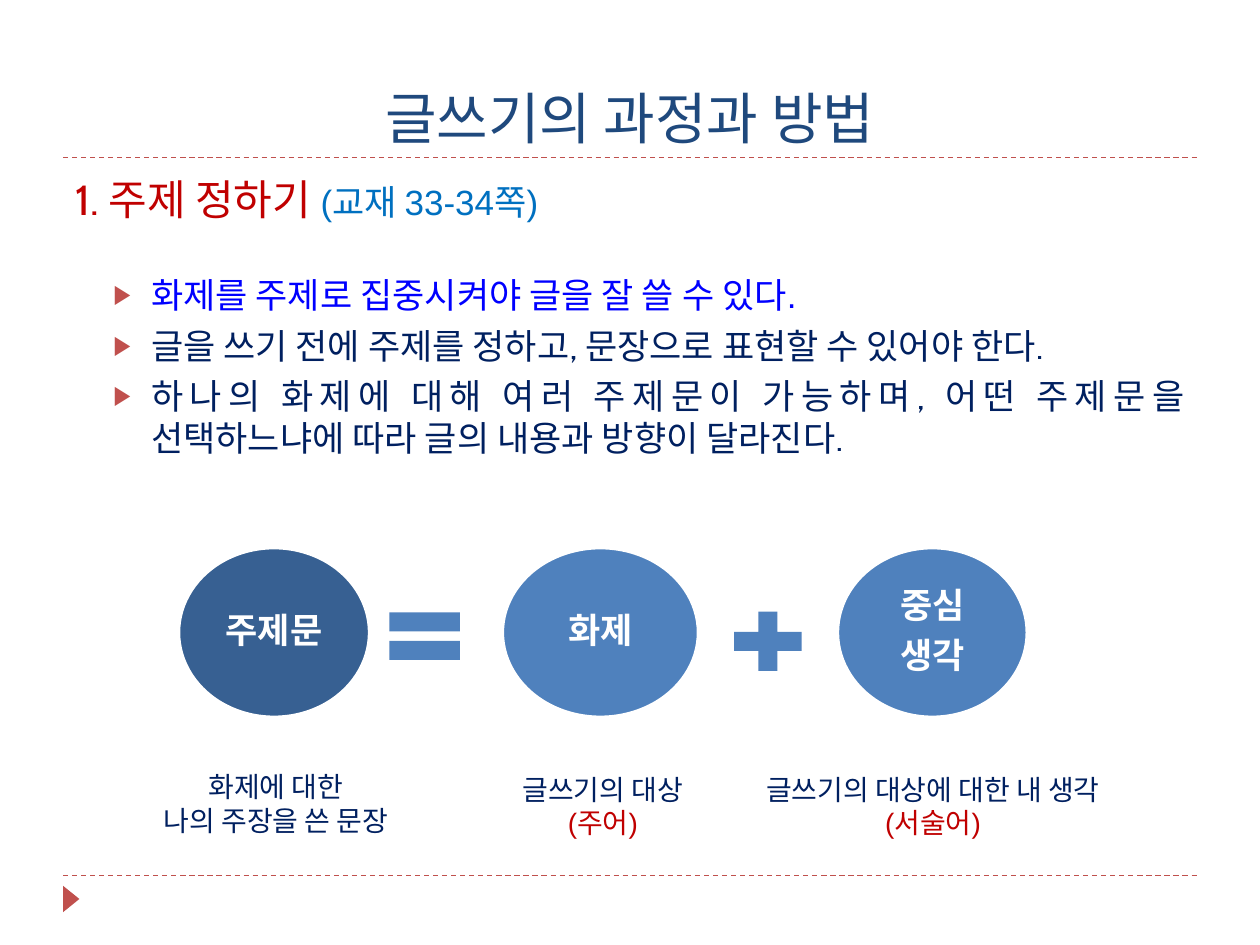
from lxml import etree
from pptx import Presentation
from pptx import util as u
from pptx.dml.color import RGBColor
from pptx.enum import dml, shapes, text
from pptx.oxml import ns

RED = RGBColor(0xC0, 0x50, 0x4D)
DEEP = RGBColor(0xC0, 0x00, 0x00)
NAVY = RGBColor(0x00, 0x20, 0x60)
PURE = RGBColor(0x00, 0x00, 0xFF)
SKY = RGBColor(0x00, 0x70, 0xC0)
BLUE = RGBColor(0x4F, 0x81, 0xBD)
DARK = RGBColor(0x37, 0x60, 0x92)
TITLE = RGBColor(0x1F, 0x49, 0x7D)
WHITE = RGBColor(0xFF, 0xFF, 0xFF)

COLS, ROWS = 100, 75
CELL = u.Inches(0.1)
CENTER = text.PP_ALIGN.CENTER
KIND = shapes.MSO_SHAPE


def grid(*cells):
    return [round(n * CELL) for n in cells]


def style(run, size, face, color, bold=False):
    font = run.font
    font.size, font.name, font.bold = u.Pt(size), face, bold
    font.color.rgb = color


deck = Presentation()
deck.slide_width, deck.slide_height = grid(COLS, ROWS)
slide = deck.slides.add_slide(deck.slide_layouts[1])
items = slide.shapes

for row in (69.5, 12.5):
    rule = items.add_connector(shapes.MSO_CONNECTOR.STRAIGHT, *grid(5, row, COLS - 5, row))
    rule.line.color.rgb = RED
    rule.line.width = u.Pt(0.75)
    rule.line.dash_style = dml.MSO_LINE.DASH
    etree.SubElement(rule._element.spPr, ns.qn("a:effectLst"))

title, body = slide.placeholders
title.left, title.top, title.width, title.height = grid(5, 1.7, 90, 10.8)
body.left, body.top, body.width, body.height = grid(5, 13.3, 90, 54)

title.text_frame.text = "글쓰기의 과정과 방법"
title.text_frame.vertical_anchor = text.MSO_ANCHOR.BOTTOM
head = title.text_frame.paragraphs[0]
head.alignment = CENTER
style(head.runs[0], 32, "TeX Gyre Bonum", TITLE)

frame = body.text_frame
frame.auto_size = text.MSO_AUTO_SIZE.NONE
topic = frame.paragraphs[0]
topic.alignment = text.PP_ALIGN.JUSTIFY
topic.space_before = u.Pt(6)
for words, size, face, color in (
    ("1. 주제 정하기 ", 24, "Cabin", DEEP),
    ("(교재 33-34쪽)", 20, "Arial", SKY),
):
    run = topic.add_run()
    run.text = words
    style(run, size, face, color)
props = topic._p.get_or_add_pPr()
props.set("marL", "0")
props.set("indent", "0")
etree.SubElement(props, ns.qn("a:buNone"))

for words, face, color, gap in (
    ("화제를 주제로 집중시켜야 글을 잘 쓸 수 있다.", "Arial", PURE, 28),
    ("글을 쓰기 전에 주제를 정하고, 문장으로 표현할 수 있어야 한다.", "Cabin", NAVY, 5),
    ("하나의 화제에 대해 여러 주제문이 가능하며, 어떤 주제문을 선택하느냐에 따라 글의 내용과 방향이 달라진다.",
     "Cabin", NAVY, 5),
):
    point = frame.add_paragraph()
    point.text = words
    point.level = 1
    point.alignment = text.PP_ALIGN.JUSTIFY
    point.space_before = u.Pt(gap)
    style(point.runs[0], 20, face, color)
    props = point._p.get_or_add_pPr()
    props.set("marL", str(6 * CELL))
    props.set("indent", str(-3 * CELL))
    tint = etree.SubElement(props, ns.qn("a:buClr"))
    etree.SubElement(tint, ns.qn("a:srgbClr"), val=str(RED))
    etree.SubElement(props, ns.qn("a:buSzPct"), val="76000")
    etree.SubElement(props, ns.qn("a:buFont"), typeface="Arial")
    etree.SubElement(props, ns.qn("a:buChar"), char="▶")

for kind, color, turn, place in (
    (KIND.ISOSCELES_TRIANGLE, RED, 90, (4.6, 70.7, 2.1, 1.3)),
    (KIND.MATH_EQUAL, BLUE, 0, (29.9, 47.3, 7.6, 6.4)),
    (KIND.MATH_PLUS, BLUE, 0, (57.3, 47.7, 7.3, 6.4)),
):
    sign = items.add_shape(kind, *grid(*place))
    sign.shadow.inherit = False
    sign.rotation = turn
    sign.fill.solid()
    sign.fill.fore_color.rgb = color
    sign.line.fill.background()

for words, face, color, left, wide in (
    ("주제문", "Cabin", DARK, 14.2, 15.1),
    ("화제", "Cabin", BLUE, 39.9, 15.5),
    ("중심\n생각", "Arial", BLUE, 66.5, 15),
):
    disc = items.add_shape(KIND.OVAL, *grid(left, 43.5, wide, 13.4))
    disc.shadow.inherit = False
    disc.fill.solid()
    disc.fill.fore_color.rgb = color
    disc.line.color.rgb = WHITE
    disc.line.width = u.Pt(1.5)
    frame = disc.text_frame
    frame.margin_left = frame.margin_right = u.Inches(0.03)
    frame.margin_top = frame.margin_bottom = u.Inches(0.03)
    frame.vertical_anchor = text.MSO_ANCHOR.MIDDLE
    frame.text = words
    for line in frame.paragraphs:
        line.alignment = CENTER
        line.line_spacing = 0.9
        line.space_after = u.Pt(7)
        style(line.runs[0], 20, face, WHITE, True)

for words, last, left, top, wide in (
    ("화제에 대한\n나의 주장을 쓴 문장", NAVY, 10.5, 60.6, 22.8),
    ("글쓰기의 대상\n(주어)", DEEP, 38.2, 60.8, 19.3),
    ("글쓰기의 대상에 대한 내 생각\n(서술어)", DEEP, 58.1, 60.8, 31.9),
):
    note = items.add_textbox(*grid(left, top, wide, 6.4))
    frame = note.text_frame
    frame.word_wrap = True
    frame.text = words
    for line, color in zip(frame.paragraphs, (NAVY, last)):
        line.alignment = CENTER
        style(line.runs[0], 16, "Arial", color)

deck.save("out.pptx")
